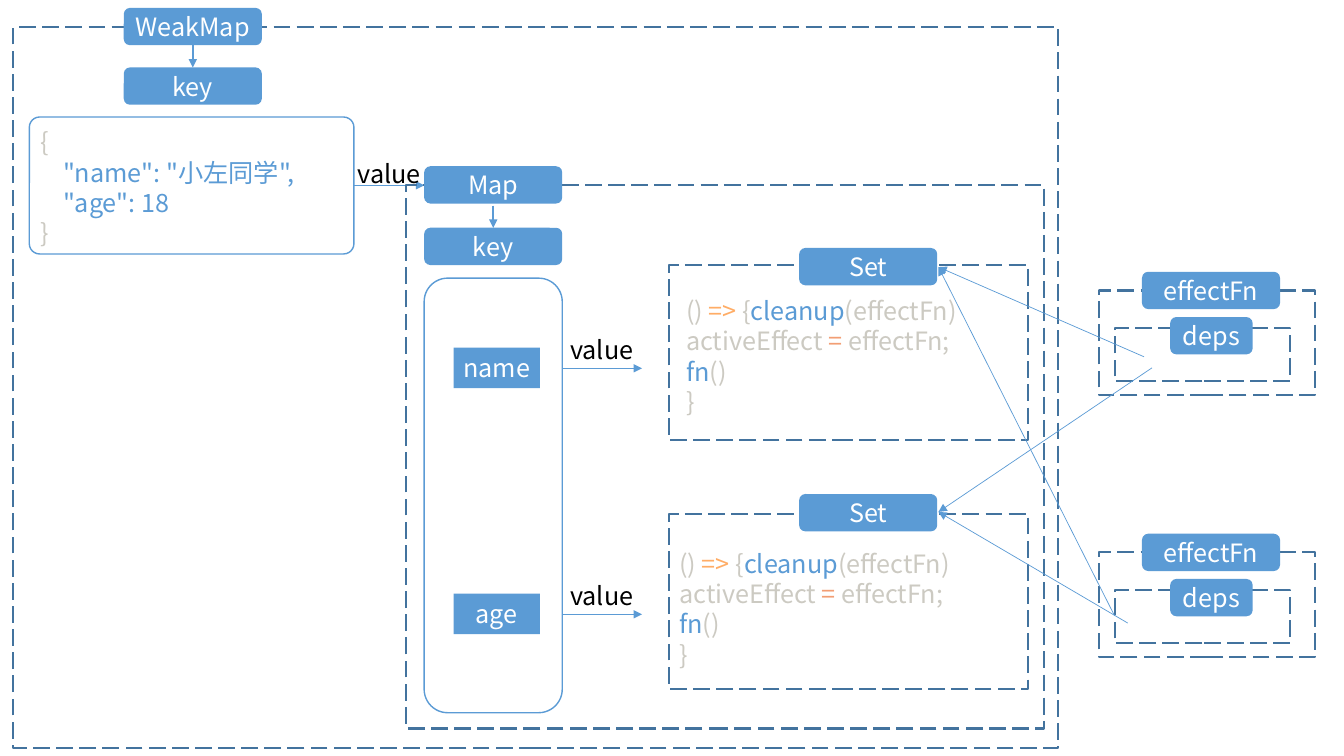
from dataclasses import dataclass

from lxml import etree
from pptx import Presentation
from pptx.dml.color import RGBColor
from pptx.enum.dml import MSO_LINE
from pptx.enum.shapes import MSO_CONNECTOR, MSO_SHAPE
from pptx.enum.text import MSO_ANCHOR, MSO_AUTO_SIZE, PP_ALIGN
from pptx.oxml.ns import qn
from pptx.util import Cm, Pt


@dataclass(frozen=True)
class Theme:
    font: str = "Noto Sans CJK SC"
    size: float = 18
    blue: str = "5B9BD5"
    frame: str = "43739E"
    white: str = "FFFFFF"
    black: str = "000000"
    code: str = "CCCAC2"
    arrow: str = "FFAD66"
    operator: str = "F29E74"


THEME = Theme()
TAG_WIDTH, TAG_HEIGHT = 3.48, 0.94

OBJECT_LINES = [
    (0, [("{", THEME.code)]),
    (0.58, [('"name": "小左同学",', THEME.blue)]),
    (0.58, [('"age": 18', THEME.blue)]),
    (0, [("}", THEME.code)]),
]
EFFECT_LINES = [
    (0, [("() ", THEME.code), ("=> ", THEME.arrow), ("{", THEME.code),
         ("cleanup", THEME.blue), ("(effectFn)", THEME.code)]),
    (0, [("activeEffect ", THEME.code), ("=", THEME.operator), (" effectFn;", THEME.code)]),
    (0, [("fn", THEME.blue), ("()", THEME.code)]),
    (0, [("}", THEME.code)]),
]


def rgb(value):
    return RGBColor.from_string(value)


def add_run(paragraph, text, color):
    run = paragraph.add_run()
    run.text = text
    run.font.size = Pt(THEME.size)
    run.font.name = THEME.font
    run.font.color.rgb = rgb(color)
    east_asian = etree.SubElement(run.font._element, qn("a:ea"))
    east_asian.set("typeface", THEME.font)


def add_box(slide, kind, x, y, width, height):
    box = slide.shapes.add_shape(kind, Cm(x), Cm(y), Cm(width), Cm(height))
    box.shadow.inherit = False
    return box


def add_outline(slide, kind, x, y, width, height, color, weight):
    box = add_box(slide, kind, x, y, width, height)
    box.fill.background()
    box.line.color.rgb = rgb(color)
    box.line.width = Pt(weight)
    return box


def add_frame(slide, x, y, width, height):
    frame = add_outline(slide, MSO_SHAPE.RECTANGLE, x, y, width, height, THEME.frame, 1.5)
    frame.line.dash_style = MSO_LINE.LONG_DASH


def add_card(slide, x, y, width, height, corner):
    card = add_outline(slide, MSO_SHAPE.ROUNDED_RECTANGLE, x, y, width, height, THEME.blue, 1)
    card.adjustments[0] = corner


def add_label(slide, text, x, y, width=TAG_WIDTH, height=TAG_HEIGHT,
              kind=MSO_SHAPE.ROUNDED_RECTANGLE):
    label = add_box(slide, kind, x, y, width, height)
    label.fill.solid()
    label.fill.fore_color.rgb = rgb(THEME.blue)
    label.line.fill.background()
    frame = label.text_frame
    frame.word_wrap = True
    frame.margin_left = frame.margin_right = Cm(0)
    frame.vertical_anchor = MSO_ANCHOR.MIDDLE
    paragraph = frame.paragraphs[0]
    paragraph.alignment = PP_ALIGN.CENTER
    add_run(paragraph, text, THEME.white)


def add_text(slide, lines, x, y, width, height, wrap=True):
    frame = slide.shapes.add_textbox(Cm(x), Cm(y), Cm(width), Cm(height)).text_frame
    frame.word_wrap = wrap
    frame.auto_size = MSO_AUTO_SIZE.SHAPE_TO_FIT_TEXT
    for index, (indent, runs) in enumerate(lines):
        paragraph = frame.add_paragraph() if index else frame.paragraphs[0]
        if indent:
            paragraph._p.get_or_add_pPr().set("marL", str(Cm(indent)))
        for text, color in runs:
            add_run(paragraph, text, color)


def add_arrow(slide, start, end, weight=0.5):
    points = [Cm(length) for length in (*start, *end)]
    arrow = slide.shapes.add_connector(MSO_CONNECTOR.STRAIGHT, *points)
    arrow.line.color.rgb = rgb(THEME.blue)
    arrow.line.width = Pt(weight)
    etree.SubElement(arrow.line._get_or_add_ln(), qn("a:tailEnd")).set("type", "triangle")
    etree.SubElement(arrow._element.spPr, qn("a:effectLst"))


def add_value(slide, x, y):
    add_text(slide, [(0, [("value", THEME.black)])], x, y, 2.11, 1.02, wrap=False)


def add_map_head(slide, title, x, title_y, key_y):
    center = x + TAG_WIDTH / 2
    add_label(slide, title, x, title_y)
    add_label(slide, "key", x, key_y)
    add_arrow(slide, (center, key_y - 0.56), (center, key_y), 1.5)


def add_property(slide, name, x, y):
    add_label(slide, name, x, y, 2.18, 1.02, MSO_SHAPE.RECTANGLE)
    add_arrow(slide, (14.17, y + 0.52), (16.18, y + 0.52))
    add_value(slide, 14.12, y - 0.47)


def add_set(slide, frame_y, tag_y, code_x, code_y):
    add_frame(slide, 16.87, frame_y, 9.04, 4.42)
    add_label(slide, "Set", 20.14, tag_y)
    add_text(slide, EFFECT_LINES, code_x, code_y, 9.04, 3.33)


def add_effect(slide, y):
    add_frame(slide, 27.69, y, 5.44, 2.64)
    add_label(slide, "effectFn", 28.78, y - 0.47)
    add_frame(slide, 28.09, y + 0.94, 4.42, 1.35)
    add_label(slide, "deps", 29.49, y + 0.67, 2.08)


def main():
    presentation = Presentation()
    presentation.slide_width, presentation.slide_height = Cm(33.87), Cm(19.05)
    slide = presentation.slides.add_slide(presentation.slide_layouts[6])

    add_frame(slide, 0.33, 0.69, 26.34, 18.16)
    add_map_head(slide, "WeakMap", 3.12, 0.2, 1.7)
    add_card(slide, 0.74, 2.95, 8.18, 3.45, 0.075)
    add_text(slide, OBJECT_LINES, 0.76, 3.07, 8.46, 3.33)
    add_arrow(slide, (8.92, 4.67), (10.69, 4.67))
    add_value(slide, 8.76, 3.86)

    add_frame(slide, 10.24, 4.67, 16.08, 13.69)
    add_map_head(slide, "Map", 10.69, 4.19, 5.74)
    add_card(slide, 10.69, 7.01, TAG_WIDTH, 10.95, 0.17)
    add_property(slide, "name", 11.43, 8.76)
    add_property(slide, "age", 11.43, 14.96)

    add_set(slide, 6.68, 6.25, 17.04, 7.32)
    add_set(slide, 12.95, 12.45, 16.87, 13.69)
    for effect_y in (7.32, 13.92):
        add_effect(slide, effect_y)

    first_set, second_set = (23.65, 6.73), (23.65, 12.9)
    for start, end in (
        ((28.83, 8.99), first_set),
        ((29.03, 9.27), second_set),
        ((28.09, 15.52), first_set),
        ((28.42, 15.7), second_set),
    ):
        add_arrow(slide, start, end)

    presentation.save("out.pptx")


main()
